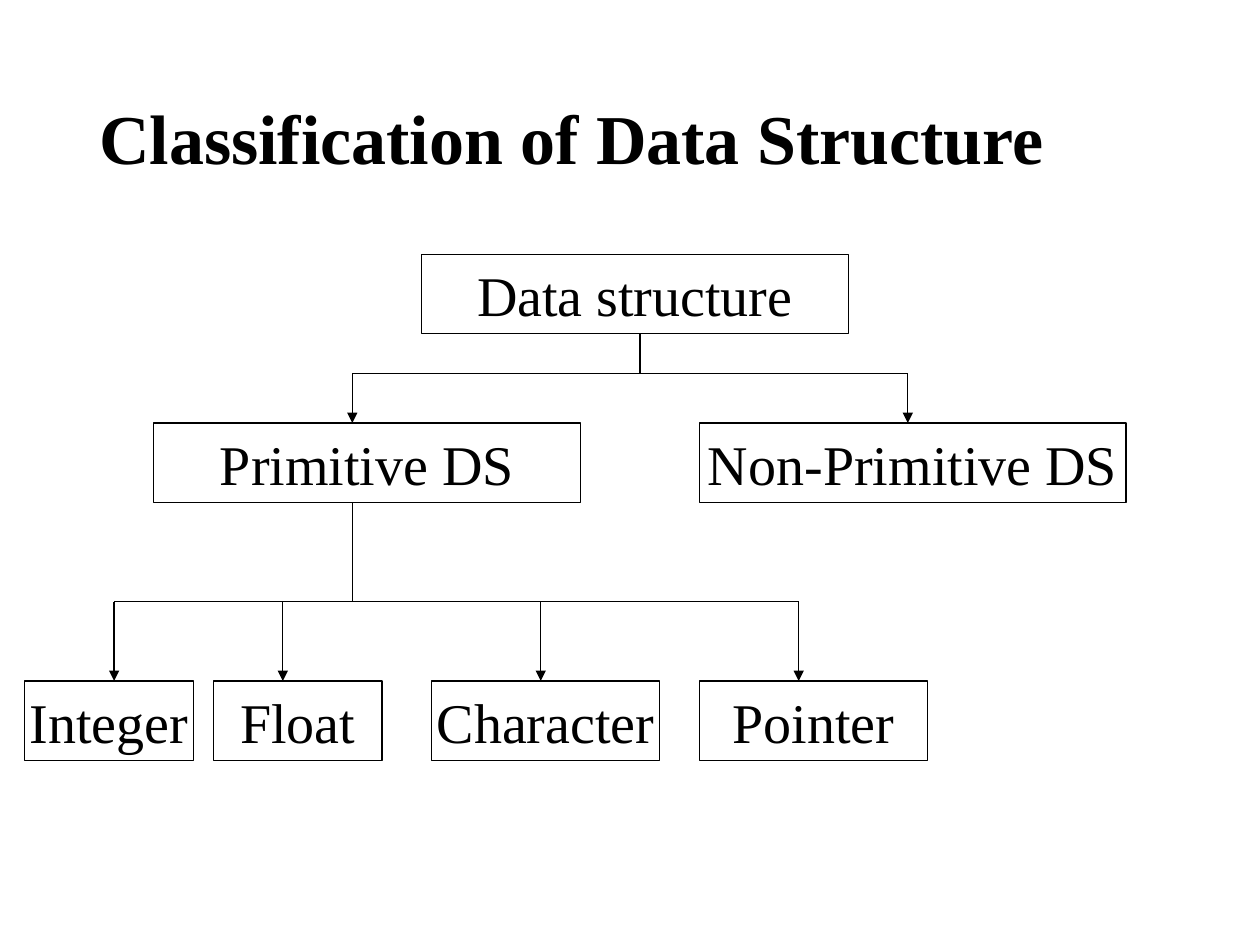
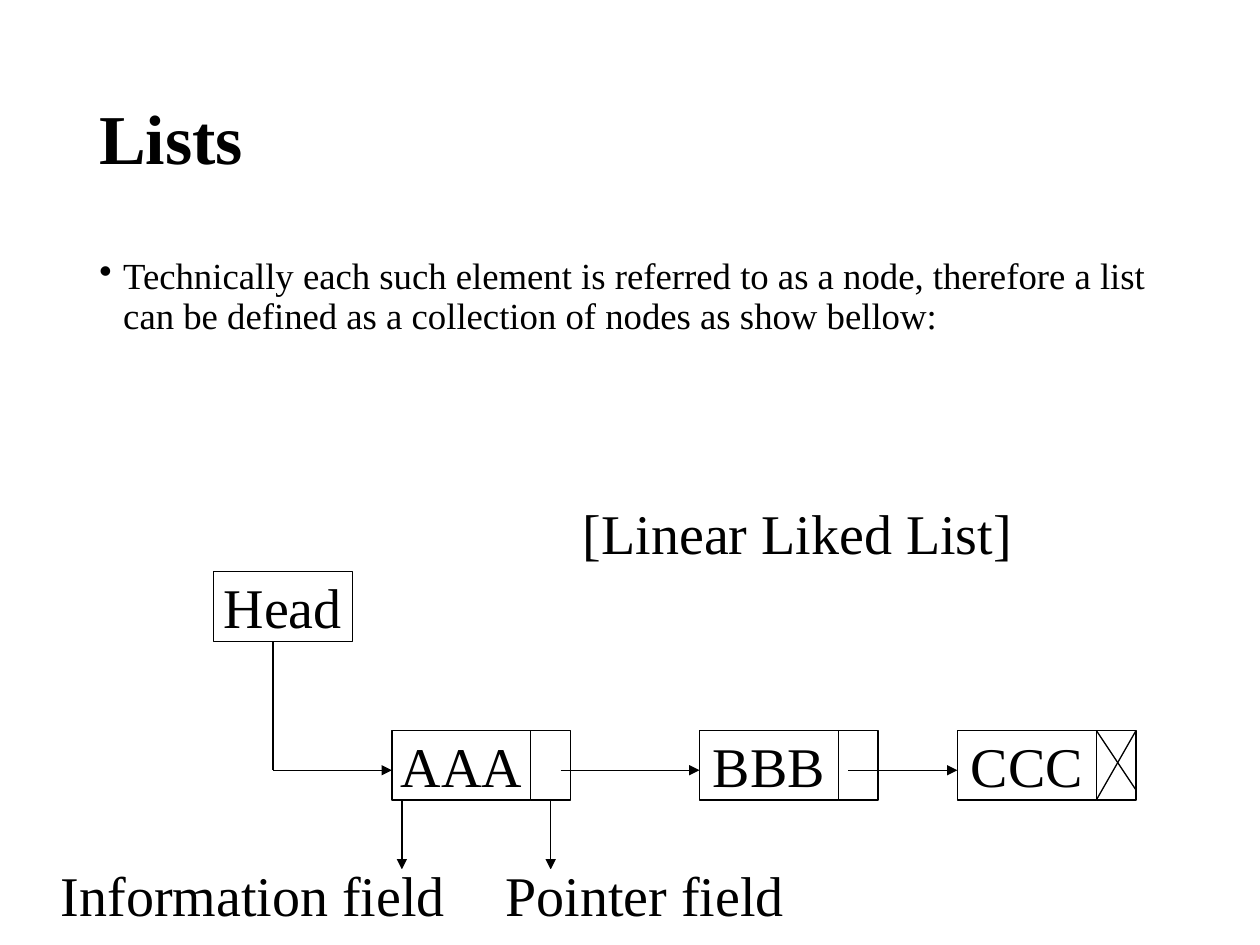
from dataclasses import dataclass

from lxml import etree
from pptx import Presentation
from pptx import util as u
from pptx.dml.color import RGBColor
from pptx.enum import shapes, text
from pptx.oxml import ns


@dataclass(frozen=True)
class Theme:
    ink: RGBColor = RGBColor(0, 0, 0)
    paper: RGBColor = RGBColor(255, 255, 255)
    font: str = "Times New Roman"
    title_size: int = 40
    label_size: int = 32
    body_size: int = 21
    line_width: float = 0.75


theme = Theme()
deck = Presentation()
deck.slide_width, deck.slide_height = u.Inches(10), u.Inches(7.5)

# Diagrams sit on a grid of 127 square cells across the slide.
cell = deck.slide_width / 127
grid_left, grid_top = u.Inches(0.04), u.Inches(0.05)


def add_box(page, column, row, columns, rows, label="", size=theme.label_size, outline=None):
    """Place text on the grid; with an outline colour it becomes a filled, centred rectangle."""
    place = (int(grid_left + column * cell), int(grid_top + row * cell),
             int(columns * cell), int(rows * cell))
    if outline is None:
        box = page.shapes.add_textbox(*place)
    else:
        box = page.shapes.add_shape(shapes.MSO_SHAPE.RECTANGLE, *place)
        box.shadow.inherit = False
        box.fill.solid()
        box.fill.fore_color.rgb = theme.paper
        box.line.color.rgb = outline
        box.line.width = u.Pt(theme.line_width)
    frame = box.text_frame
    frame.word_wrap = outline is None
    if label:
        frame.text = label
        para = frame.paragraphs[0]
        if outline is not None:
            frame.vertical_anchor = text.MSO_ANCHOR.MIDDLE
            para.alignment = text.PP_ALIGN.CENTER
        font = para.runs[0].font
        font.name, font.size, font.color.rgb = theme.font, u.Pt(size), theme.ink
    return box


def add_line(page, start, end, arrow=False):
    """Draw a line between two (column, row) points of the grid."""
    ends = [int(origin + step * cell) for point in (start, end)
            for origin, step in zip((grid_left, grid_top), point)]
    line = page.shapes.add_connector(shapes.MSO_CONNECTOR.STRAIGHT, *ends)
    line.line.color.rgb = theme.ink
    line.line.width = u.Pt(theme.line_width)
    if arrow:
        etree.SubElement(line.line._get_or_add_ln(), ns.qn("a:tailEnd"), type="triangle")
    etree.SubElement(line._element.spPr, ns.qn("a:effectLst"))


# Both slides: white background and title
pages = []
for heading in ("Classification of Data Structure", "Lists"):
    page = deck.slides.add_slide(deck.slide_layouts[6])
    page.background.fill.solid()
    page.background.fill.fore_color.rgb = theme.paper
    title = add_box(page, 8.25, 4.45, 109.6, 18.4, heading, theme.title_size)
    title.text_frame.vertical_anchor = text.MSO_ANCHOR.MIDDLE
    para = title.text_frame.paragraphs[0]
    para.line_spacing = 0.9
    para.runs[0].font.bold = True
    pages.append(page)
tree_page, list_page = pages

# Slide 1: tree of data structures
box_rows = 8
root_row, kind_row, leaf_row = 25, 42, 68
kind_bus, leaf_bus = 37, 60
tree_boxes = [
    ("Data structure", 42, root_row, 43),
    ("Primitive DS", 15, kind_row, 43),
    ("Non-Primitive DS", 70, kind_row, 43),
    ("Integer", 2, leaf_row, 17),
    ("Float", 21, leaf_row, 17),
    ("Character", 43, leaf_row, 23),
    ("Pointer", 70, leaf_row, 23),
]
for label, column, row, columns in tree_boxes:
    add_box(tree_page, column, row, columns, box_rows, label, outline=theme.ink)

branches = [
    (64, root_row, kind_bus, kind_row, (35, 91)),
    (35, kind_row, leaf_bus, leaf_row, (11, 28, 54, 80)),
]
for stem, parent_row, bus, child_row, drops in branches:
    add_line(tree_page, (stem, parent_row + box_rows), (stem, bus))
    add_line(tree_page, (drops[0], bus), (drops[-1], bus))
    for drop in drops:
        add_line(tree_page, (drop, bus), (drop, child_row), arrow=True)

# Slide 2: definition of a list
body = add_box(
    list_page, 8.25, 24.75, 109.6, 60.4,
    "Technically each such element is referred to as a node, therefore a list "
    "can be defined as a collection of nodes as show bellow:", theme.body_size)
para = body.text_frame.paragraphs[0]
para.line_spacing, para.space_before = 0.9, u.Pt(7.5)
properties = para._p.get_or_add_pPr()
properties.set("marL", str(u.Inches(0.19)))
properties.set("indent", str(-u.Inches(0.19)))
etree.SubElement(properties, ns.qn("a:buChar"), char="•")

# Slide 2: linked nodes, each an information field and a pointer field
node_row, node_rows, info_columns, pointer_columns = 73, 7, 14, 4
node_bottom, link_row, field_row = node_row + node_rows, 77, 87
head_column, head_row = 21, 57
nodes = {"AAA": 39, "BBB": 70, "CCC": 96}

add_box(list_page, head_column, head_row, info_columns, node_rows, "Head", outline=theme.ink)
for label, column in nodes.items():
    add_box(list_page, column, node_row, info_columns, node_rows, label, outline=theme.ink)
    add_box(list_page, column + info_columns, node_row, pointer_columns, node_rows,
            outline=theme.ink)

# The last pointer is crossed out
cross_left = nodes["CCC"] + info_columns
cross_right = cross_left + pointer_columns
add_line(list_page, (cross_left, node_row), (cross_right, node_bottom - 1))
add_line(list_page, (cross_right, node_row), (cross_left, node_bottom))

head_stem = head_column + 6
add_line(list_page, (head_stem, head_row + node_rows), (head_stem, link_row))
for start, target in zip((head_stem, 56, 85), nodes.values()):
    add_line(list_page, (start, link_row), (target, link_row), arrow=True)

for label, column, columns, arrow_column in (("Information field", 7, 36, 40),
                                             ("Pointer field", 50, 29, 55)):
    add_line(list_page, (arrow_column, node_bottom), (arrow_column, field_row), arrow=True)
    add_box(list_page, column, field_row, columns, 5, label, outline=theme.paper)

caption = add_box(list_page, 57, 49, 50, 8.1, "[Linear Liked List]")
caption.text_frame.paragraphs[0].space_before = u.Pt(20)

deck.save("out.pptx")
